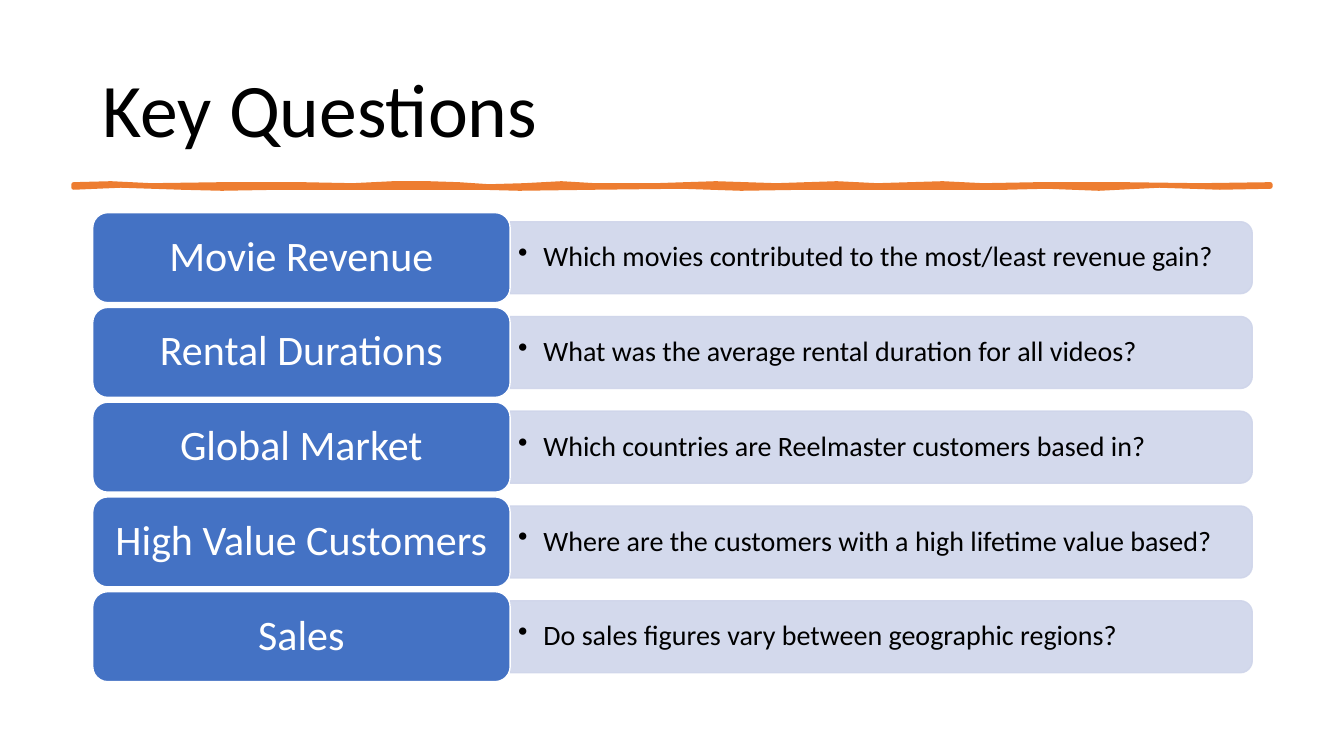
import pptx
import pptx.dml.color
import pptx.enum.shapes
import pptx.enum.text
import pptx.oxml.ns
import pptx.oxml.xmlchemy
import pptx.util

Inches = pptx.util.Inches
Pt = pptx.util.Pt
RGBColor = pptx.dml.color.RGBColor
MSO_SHAPE = pptx.enum.shapes.MSO_SHAPE
PP_ALIGN = pptx.enum.text.PP_ALIGN
MSO_ANCHOR = pptx.enum.text.MSO_ANCHOR
OxmlElement = pptx.oxml.xmlchemy.OxmlElement

BLACK = RGBColor(0x00, 0x00, 0x00)
WHITE = RGBColor(0xFF, 0xFF, 0xFF)
BLUE = RGBColor(0x44, 0x72, 0xC4)
PALE_BLUE = RGBColor(0xCF, 0xD5, 0xEA)
ORANGE = RGBColor(0xED, 0x7D, 0x31)
FONT = "Calibri"

SLIDE_WIDTH, SLIDE_HEIGHT = 13.33, 7.5
LEFT, CONTENT_WIDTH = 0.92, 11.5
TOPIC_WIDTH = 0.36 * CONTENT_WIDTH
QUESTION_LEFT = LEFT + TOPIC_WIDTH
QUESTION_WIDTH = CONTENT_WIDTH - TOPIC_WIDTH
GRID_TOP, ROW_PITCH = 2.11, 0.94
TOPIC_HEIGHT = 0.95 * ROW_PITCH
QUESTION_HEIGHT = 0.76 * ROW_PITCH

ROWS = [
    ("Movie Revenue", "Which movies contributed to the most/least revenue gain?"),
    ("Rental Durations", "What was the average rental duration for all videos?"),
    ("Global Market", "Which countries are Reelmaster customers based in?"),
    ("High Value Customers", "Where are the customers with a high lifetime value based?"),
    ("Sales", "Do sales figures vary between geographic regions?"),
]

# Edges of the hand-drawn rule, in hundredths of an inch
RULE_TOP = [(73, 183), (110, 182.5), (150, 183.5), (220, 183), (300, 183), (350, 183.5),
            (390, 182.5), (425, 181.5), (455, 183), (485, 185), (520, 183.5), (557, 182),
            (590, 183.5), (650, 183.5), (710, 182.5), (770, 184), (830, 182.5), (870, 183.5),
            (935, 182), (975, 184), (1029, 183), (1075, 183), (1115, 183), (1190, 184), (1260, 183)]
RULE_BOTTOM = [(1260, 185), (1210, 185.5), (1150, 184.5), (1090, 187), (1038, 185), (999, 185.5),
               (925, 185.5), (863, 185.5), (800, 185.5), (735, 187), (676, 185), (590, 185.5),
               (515, 187), (477, 185.5), (414, 186), (328, 186), (278, 185.5), (220, 187),
               (180, 185.5), (120, 184.5), (73, 185.5)]


def set_font(paragraph, size, color):
    paragraph.font.name = FONT
    paragraph.font.size = Pt(size)
    paragraph.font.color.rgb = color
    paragraph.line_spacing = 0.9


def style_shape(shape, fill, line, line_width):
    shape.shadow.inherit = False
    shape.fill.solid()
    shape.fill.fore_color.rgb = fill
    shape.line.color.rgb = line
    shape.line.width = Pt(line_width)


def make_translucent(shape, percent):
    """Set the opacity of both the fill and the line."""
    for color in shape._element.spPr.iter(pptx.oxml.ns.qn("a:srgbClr")):
        alpha = OxmlElement("a:alpha")
        alpha.set("val", str(percent * 1000))
        color.append(alpha)


def add_bullet(paragraph, indent):
    properties = paragraph._p.get_or_add_pPr()
    properties.set("marL", str(Inches(indent)))
    properties.set("indent", str(-Inches(indent)))
    bullet = OxmlElement("a:buChar")
    bullet.set("char", "•")
    properties.insert_element_before(bullet, "a:tabLst", "a:defRPr", "a:extLst")


def set_frame(shape, horizontal_inset, vertical_inset):
    """Set wrapping, anchor and insets, and return the first paragraph."""
    frame = shape.text_frame
    frame.word_wrap = True
    frame.vertical_anchor = MSO_ANCHOR.MIDDLE
    frame.margin_left = frame.margin_right = Inches(horizontal_inset)
    frame.margin_top = frame.margin_bottom = Inches(vertical_inset)
    return frame.paragraphs[0]


def format_title(slide, text):
    title = slide.shapes.title
    title.left, title.top = Inches(LEFT), Inches(0.4)
    title.width, title.height = Inches(CONTENT_WIDTH), Inches(1.45)
    paragraph = set_frame(title, 0.1, 0.05)
    paragraph.text = text
    paragraph.alignment = PP_ALIGN.LEFT
    set_font(paragraph, 54, BLACK)


def add_hand_drawn_rule(slide):
    builder = slide.shapes.build_freeform(*RULE_TOP[0], scale=Inches(0.01))
    builder.add_line_segments(RULE_TOP[1:] + RULE_BOTTOM, close=True)
    style_shape(builder.convert_to_shape(), ORANGE, ORANGE, 3.25)


def add_question(slide, middle, text):
    """Draw a bar rounded on its right side only, with a bulleted question."""
    center = QUESTION_LEFT + QUESTION_WIDTH / 2
    bar = slide.shapes.add_shape(
        MSO_SHAPE.ROUND_2_SAME_RECTANGLE,
        Inches(center - QUESTION_HEIGHT / 2), Inches(middle - QUESTION_WIDTH / 2),
        Inches(QUESTION_HEIGHT), Inches(QUESTION_WIDTH))
    bar.rotation = 90
    style_shape(bar, PALE_BLUE, PALE_BLUE, 1)
    make_translucent(bar, 90)

    box = slide.shapes.add_textbox(
        Inches(QUESTION_LEFT), Inches(middle - QUESTION_HEIGHT / 2),
        Inches(QUESTION_WIDTH), Inches(QUESTION_HEIGHT))
    paragraph = set_frame(box, 0.08, 0.04)
    paragraph.text = text
    set_font(paragraph, 20, BLACK)
    add_bullet(paragraph, 0.25)


def add_topic(slide, middle, text):
    topic = slide.shapes.add_shape(
        MSO_SHAPE.ROUNDED_RECTANGLE,
        Inches(LEFT), Inches(middle - TOPIC_HEIGHT / 2),
        Inches(TOPIC_WIDTH), Inches(TOPIC_HEIGHT))
    style_shape(topic, BLUE, WHITE, 1)
    paragraph = set_frame(topic, 0.12, 0.06)
    paragraph.text = text
    paragraph.alignment = PP_ALIGN.CENTER
    set_font(paragraph, 30, WHITE)


def main():
    presentation = pptx.Presentation()
    presentation.slide_width = Inches(SLIDE_WIDTH)
    presentation.slide_height = Inches(SLIDE_HEIGHT)
    slide = presentation.slides.add_slide(presentation.slide_layouts.get_by_name("Title Only"))

    format_title(slide, "Key Questions")
    add_hand_drawn_rule(slide)
    for row, (topic, question) in enumerate(ROWS):
        middle = GRID_TOP + row * ROW_PITCH + TOPIC_HEIGHT / 2
        add_question(slide, middle, question)
        add_topic(slide, middle, topic)

    presentation.save("out.pptx")


if __name__ == "__main__":
    main()
